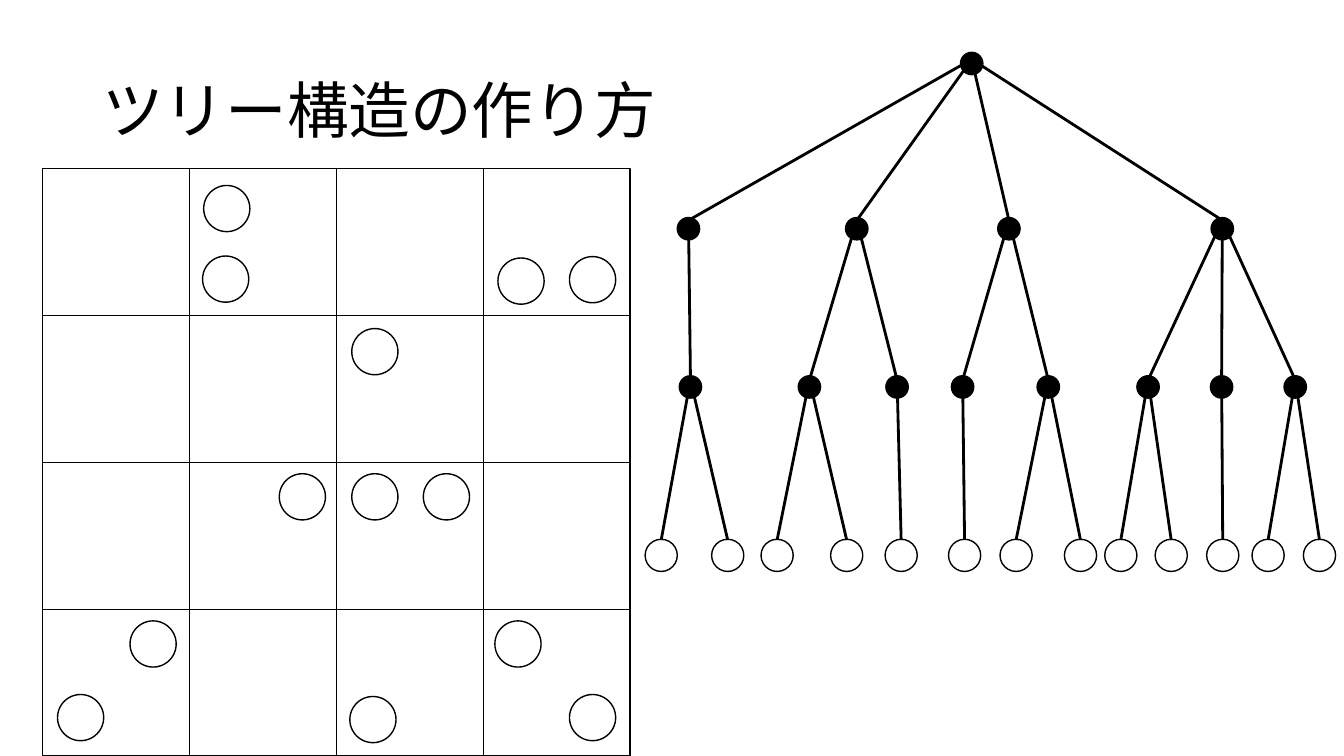
from lxml import etree
from pptx import Presentation
from pptx.dml import color
from pptx.enum import shapes, text
from pptx.oxml import ns
from pptx.util import Pt

BLACK = "000000"
GRID_CELLS = 4
POINT_SIZE = 33
NODE_SIZE = 16
LEAF_SIZE = 23
LEVEL_Y = [8, 126, 239, 359.3]
EDGE_RISE = [3, 6, 5, 11]

POINTS = [
    (131.8, 28.8), (131, 79.2), (342, 80.6), (393.1, 79.6),
    (237.6, 131),
    (185.8, 234.7), (237.6, 234.7), (288.7, 234.7),
    (79.2, 339.8), (27.4, 392.4), (236.2, 393.8), (339.8, 339.8), (393.1, 392.4),
]

TREE = (233.3, [
    (31, [
        (32.4, [(11.5, []), (59, [])]),
    ]),
    (151.2, [
        (117.4, [(94.3, []), (144, [])]),
        (180, [(182.9, [])]),
    ]),
    (259.9, [
        (226.8, [(228.2, [])]),
        (288, [(265, []), (311, [])]),
    ]),
    (412.3, [
        (359.3, [(339.8, []), (375.8, [])]),
        (411.8, [(412.6, [])]),
        (464.4, [(445, []), (481.7, [])]),
    ]),
])


def rgb(value):
    return color.RGBColor.from_string(value)


def add_outline(slide, preset, left, top, width, height, fill=None):
    outline = slide.shapes.add_shape(preset, Pt(left), Pt(top), Pt(width), Pt(height))
    outline.shadow.inherit = False
    if fill:
        outline.fill.solid()
        outline.fill.fore_color.rgb = rgb(fill)
    else:
        outline.fill.background()
    outline.line.color.rgb = rgb(BLACK)
    outline.line.width = Pt(1)


def add_circle(slide, x, y, size, fill=None):
    add_outline(slide, shapes.MSO_SHAPE.OVAL, x - size / 2, y - size / 2, size, size, fill)


def add_line(slide, x1, y1, x2, y2, width):
    line = slide.shapes.add_connector(
        shapes.MSO_CONNECTOR.STRAIGHT, Pt(x1), Pt(y1), Pt(x2), Pt(y2))
    line.line.color.rgb = rgb(BLACK)
    line.line.width = Pt(width)
    etree.SubElement(line._element.spPr, ns.qn("a:effectLst"))


def add_title(slide, left, top, width, height):
    title = slide.shapes.add_textbox(Pt(left), Pt(top), Pt(width), Pt(height))
    frame = title.text_frame
    frame.word_wrap = True
    frame.vertical_anchor = text.MSO_ANCHOR.MIDDLE
    paragraph = frame.paragraphs[0]
    paragraph.line_spacing = 0.9
    run = paragraph.add_run()
    run.text = "ツリー構造の作り方"
    run.font.name = "Calibri"
    run.font.size = Pt(44)
    run.font.color.rgb = rgb(BLACK)


def add_point_grid(slide, left, top, side):
    add_outline(slide, shapes.MSO_SHAPE.RECTANGLE, left, top, side, side)
    for index in range(1, GRID_CELLS):
        offset = side * index / GRID_CELLS
        add_line(slide, left, top + offset, left + side, top + offset, 0.5)
        add_line(slide, left + offset, top, left + offset, top + side, 0.5)
    for x, y in POINTS:
        add_circle(slide, left + x, top + y, POINT_SIZE)


def add_tree(slide, left, top):
    edges, nodes = [], []

    def collect(node, level):
        x, children = node
        nodes.append((left + x, top + LEVEL_Y[level], bool(children)))
        for child in children:
            edges.append((
                left + x, top + LEVEL_Y[level] - EDGE_RISE[level],
                left + child[0], top + LEVEL_Y[level + 1] - EDGE_RISE[level + 1]))
            collect(child, level + 1)

    collect(TREE, 0)
    for edge in edges:
        add_line(slide, *edge, 2)
    for x, y, is_inner in nodes:
        if is_inner:
            add_circle(slide, x, y, NODE_SIZE, BLACK)
        else:
            add_circle(slide, x, y, LEAF_SIZE)


deck = Presentation()
deck.slide_width, deck.slide_height = Pt(960), Pt(540)
slide = deck.slides.add_slide(deck.slide_layouts[6])
add_title(slide, 66, 28.8, 828, 104.4)
add_point_grid(slide, 30.2, 120.2, 419.8)
add_tree(slide, 460.8, 37.4)
deck.save("out.pptx")
